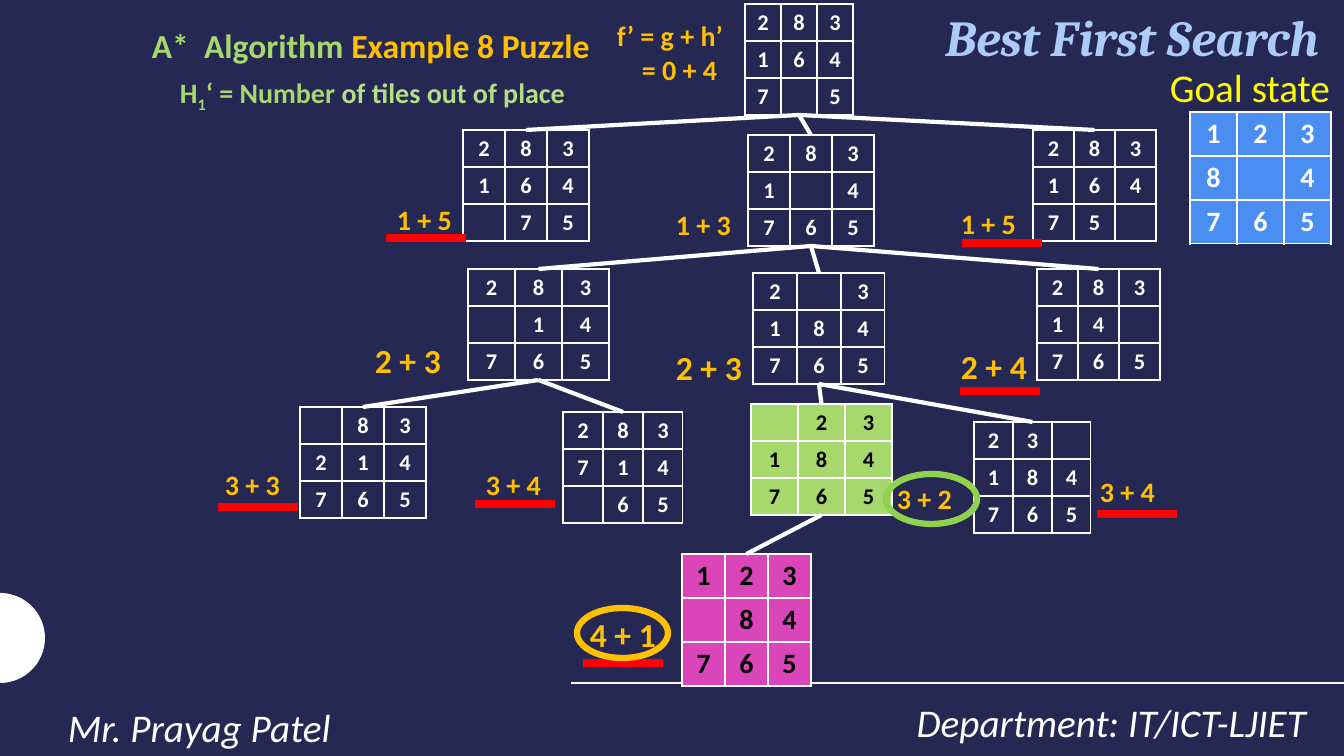
from math import cos, pi, sin

from pptx import Presentation
from pptx.dml.color import RGBColor
from pptx.enum.shapes import MSO_CONNECTOR, MSO_SHAPE
from pptx.enum.text import MSO_ANCHOR, MSO_AUTO_SIZE, PP_ALIGN
from pptx.oxml import parse_xml
from pptx.oxml.ns import nsdecls, qn
from pptx.util import Pt

LEFT, CENTER, RIGHT = PP_ALIGN.LEFT, PP_ALIGN.CENTER, PP_ALIGN.RIGHT
TOP, MIDDLE = MSO_ANCHOR.TOP, MSO_ANCHOR.MIDDLE
STRAIGHT, OVAL = MSO_CONNECTOR.STRAIGHT, MSO_SHAPE.OVAL
FIXED = MSO_AUTO_SIZE.NONE

SCALE = 914400 / 100.8
FONT = "Calibri"
NAVY, WHITE, BLACK = "242852", "FFFFFF", "000000"
GOLD, GREEN, PALE, RED = "FFC000", "A6D86E", "B4DE86", "FF0000"
BLUE, PINK, YELLOW, SKY, LIME = "4A8EF2", "DA46BA", "FFFF00", "ACCBF9", "92D050"

# Puzzle boards: name, parent, left, top, column, row, tiles, fill
BOARDS = [
    ("root", None, 745, 4, 36, 37, "283 164 7_5", None),
    ("goal", None, 1190, 112, 47, 44, "123 8_4 765", BLUE),
    ("a", "root", 463, 130, 42, 37, "283 164 _75", None),
    ("b", "root", 748, 135, 42, 37, "283 1_4 765", None),
    ("c", "root", 1033, 130, 41, 37, "283 164 75_", None),
    ("ba", "b", 468, 269, 47, 37, "283 _14 765", None),
    ("bb", "b", 753, 273, 44, 37, "2_3 184 765", None),
    ("bc", "b", 1037, 269, 41, 37, "283 14_ 765", None),
    ("baa", "ba", 300, 407, 42, 37, "_83 214 765", None),
    ("bab", "ba", 563, 412, 40, 37, "283 714 _65", None),
    ("bba", "bb", 751, 404, 47, 37, "_23 184 765", GREEN),
    ("bbb", "bb", 974, 422, 39, 37, "23_ 184 765", None),
    ("last", "bba", 682, 554, 43, 44, "123 _84 765", PINK),
]
# Costs g + h': text, left, top, size
COSTS = [
    ("1 + 5", 387, 198, 20), ("1 + 3", 666, 203, 20), ("1 + 5", 951, 202, 20),
    ("2 + 3", 365, 335, 24), ("2 + 3", 666, 342, 24), ("2 + 4", 951, 341, 24),
    ("3 + 3", 215, 463, 20), ("3 + 4", 476, 463, 20), ("3 + 2", 887, 477, 20),
    ("3 + 4", 1090, 470, 20), ("4 + 1", 580, 609, 24),
]
BARS = [(583, 663), (386, 238), (218, 507), (475, 504),
        (962, 243), (960, 391), (1097, 514)]
RINGS = [(886, 474, LIME), (577, 608, GOLD)]
HEAD = [("A*  Algorithm ", GREEN), ("Example 8 Puzzle", GOLD)]
RULE = [("H", GREEN), ("1", GREEN), ("‘ = Number ", GREEN),
        ("of tiles out of place", PALE)]


def px(n):
    return round(n * SCALE)


def rgb(color):
    return RGBColor.from_string(color)


def style(para, size, color=None, bold=False, italic=False, font=FONT):
    face = para.font
    face.name, face.size, face.bold, face.italic = font, Pt(size), bold, italic
    if color:
        face.color.rgb = rgb(color)


def text(parts, x, y, w, h, size, align=LEFT, **look):
    frame = slide.shapes.add_textbox(px(x), px(y), px(w), px(h)).text_frame
    frame.word_wrap = True
    para = frame.paragraphs[0]
    para.alignment = align
    for words, color in parts:
        run = para.add_run()
        run.text = words
        run.font.color.rgb = rgb(color)
    style(para, size, **look)
    return para


def line(x1, y1, x2, y2, color, width):
    link = slide.shapes.add_connector(STRAIGHT, px(x1), px(y1), px(x2), px(y2))
    link.line.color.rgb = rgb(color)
    link.line.width = Pt(width)
    link._element.spPr.append(parse_xml(f"<a:effectLst {nsdecls('a')}/>"))
    return link


def edge(cell):
    props = cell._tc.get_or_add_tcPr()
    for i, side in enumerate(("lnL", "lnR", "lnT", "lnB")):
        props.insert(i, parse_xml(
            f'<a:{side} {nsdecls("a")} w="12700"><a:solidFill>'
            f'<a:srgbClr val="{WHITE}"/></a:solidFill></a:{side}>'))


def board(x, y, col, row, tiles, fill):
    frame = slide.shapes.add_table(3, 3, px(x), px(y), px(3 * col), px(3 * row))
    grid = frame.table
    grid.first_row = grid.horz_banding = False
    ink = BLACK if fill in (GREEN, PINK) else WHITE
    for r, digits in enumerate(tiles.split()):
        grid.rows[r].height = px(row)
        grid.columns[r].width = px(col)
        for c, digit in enumerate(digits):
            cell = grid.cell(r, c)
            cell.margin_top = cell.margin_bottom = px(2)
            cell.vertical_anchor = MIDDLE
            if fill:
                cell.fill.solid()
                cell.fill.fore_color.rgb = rgb(fill)
            else:
                cell.fill.background()
            edge(cell)
            para = cell.text_frame.paragraphs[0]
            para.alignment = CENTER
            if digit != "_":
                para.text = digit
            style(para, 20 if row > 40 else 16, ink, bold=True)
    return frame


deck = Presentation()
deck.slide_width, deck.slide_height = px(1344), px(756)
slide = deck.slides.add_slide(deck.slide_layouts[5])
slide.background.fill.solid()
slide.background.fill.fore_color.rgb = rgb(NAVY)

# Half disc at the left edge
arc = [(px(45 * cos(pi * i / 40)), px(638 + 45 * sin(pi * i / 40)))
       for i in range(-20, 21)]
path = slide.shapes.build_freeform(*arc[0])
path.add_line_segments(arc[1:], close=True)
disc = path.convert_to_shape()
disc.shadow.inherit = False
disc.fill.solid()
disc.fill.fore_color.rgb = rgb(WHITE)
disc.line.fill.background()

# Footer
line(571, 683, 1344, 683, WHITE, 2)
dept = text([("Department: IT/ICT-LJIET", WHITE)], 814, 687, 502, 64, 28, RIGHT, italic=True)
name = text([("Mr. Prayag Patel", WHITE)], 58, 692, 500, 64, 28, italic=True)
dept.line_spacing = name.line_spacing = 1.14

# Title and headings
title = slide.shapes.title
title.left, title.top, title.width, title.height = px(224), px(1), px(1105), px(56)
title.text_frame.text = "Best First Search"
title.text_frame.auto_size = FIXED
title.text_frame.vertical_anchor = TOP
top = title.text_frame.paragraphs[0]
top.alignment = RIGHT
style(top, 36, SKY, True, True, "Cambria")
text(HEAD, 142, 20, 490, 50, 24, bold=True)
rule = text(RULE, 170, 71, 422, 44, 20, bold=True)
rule.runs[1]._r.get_or_add_rPr().set("baseline", "-25000")
text([("Goal state", YELLOW)], 1160, 58, 184, 57, 28)

# Cost formula
text([("f’ = g + h’", GOLD)], 607, 14, 140, 40, 20, bold=True)
text([("= 0 + 4", GOLD)], 632, 48, 110, 40, 20, bold=True)

# Boards and the links between them
made = {}
for key, parent, *spec in BOARDS:
    made[key] = board(*spec)
    if parent:
        link = line(0, 0, 1, 1, WHITE, 3)
        link.begin_connect(made[parent], 2)
        link.end_connect(made[key], 0)

# Costs, red bars and rings
for words, x, y, size in COSTS:
    text([(words, GOLD)], x, y, 100, 46, size, bold=True)
for x, y in BARS:
    line(x, y, x + 80, y, RED, 6)
for x, y, color in RINGS:
    ring = slide.shapes.add_shape(OVAL, px(x), px(y), px(91), px(50))
    ring.shadow.inherit = False
    ring.fill.background()
    ring.line.color.rgb = rgb(color)
    ring.line.width = Pt(4.5)

deck.save("out.pptx")
